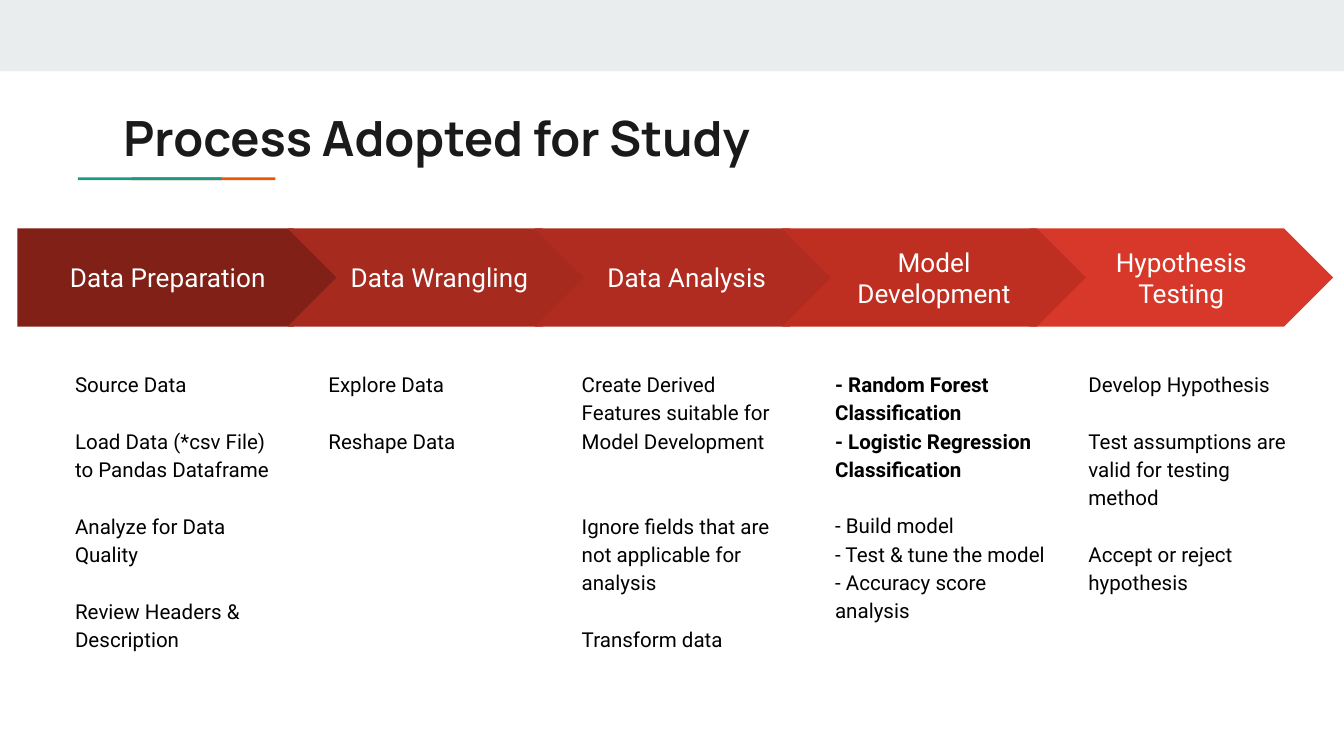
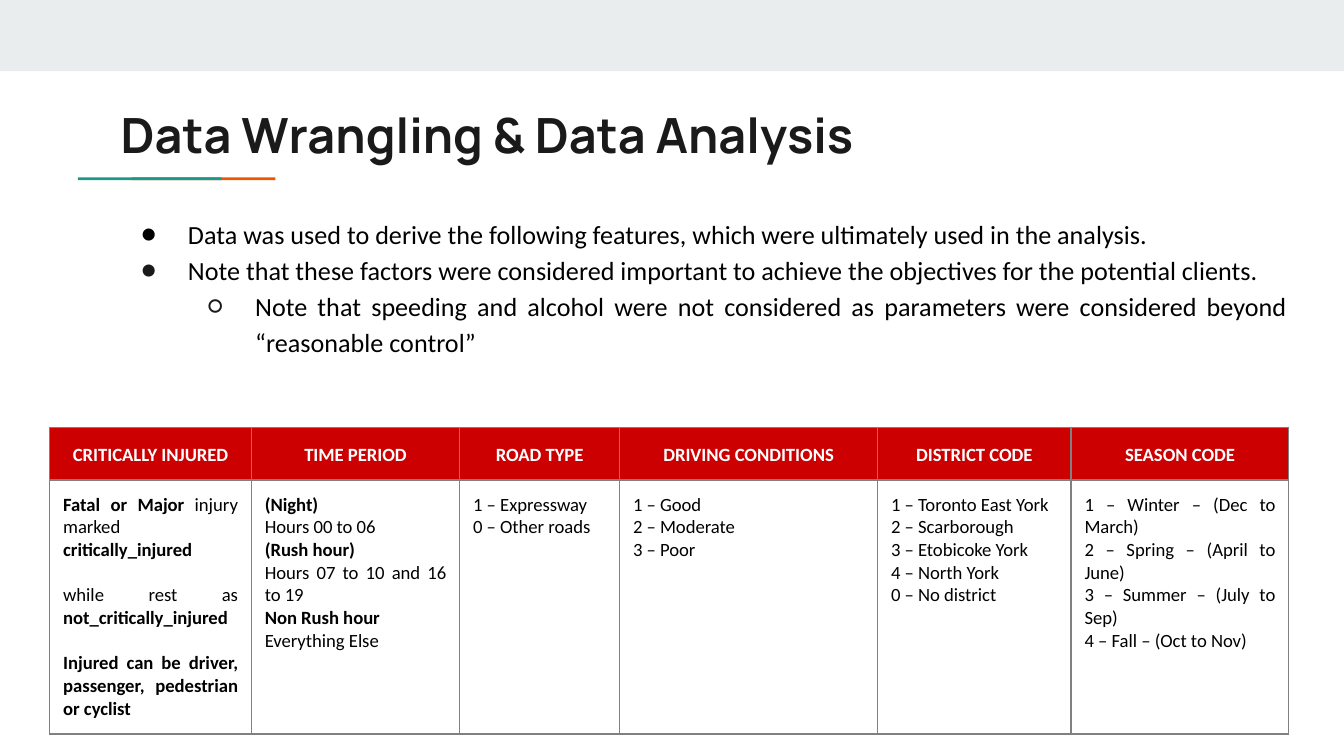
"""Build two slides: the study process and the derived features."""
from lxml import etree
from pptx import Presentation
from pptx.dml.color import RGBColor
from pptx.enum.shapes import MSO_SHAPE
from pptx.enum.text import MSO_ANCHOR, PP_ALIGN
from pptx.oxml.ns import qn
from pptx.util import Inches, Pt

RECT, PLATE, CHEVRON = MSO_SHAPE.RECTANGLE, MSO_SHAPE.PENTAGON, MSO_SHAPE.CHEVRON
LEFT, CENTER, JUSTIFY = PP_ALIGN.LEFT, PP_ALIGN.CENTER, PP_ALIGN.JUSTIFY
TOP, MIDDLE = MSO_ANCHOR.TOP, MSO_ANCHOR.MIDDLE

BLACK = RGBColor(0x00, 0x00, 0x00)
WHITE = RGBColor(0xFF, 0xFF, 0xFF)
INK = RGBColor(0x1A, 0x1A, 0x1A)
MIST = RGBColor(0xE9, 0xED, 0xEE)
TEAL = RGBColor(0x1A, 0x99, 0x88)
ORANGE = RGBColor(0xEB, 0x56, 0x00)
RED = RGBColor(0xCC, 0x00, 0x00)
GRAY = RGBColor(0x80, 0x80, 0x80)

TITLE = {"font": {"name": "Manrope", "size": Pt(26), "bold": True},
         "color": INK, "para": {"alignment": LEFT}}
STEP = {"font": {"name": "Roboto", "size": Pt(14)},
        "color": WHITE, "para": {"alignment": CENTER}}
NOTE = {"font": {"name": "Roboto", "size": Pt(11)}, "color": BLACK,
        "para": {"alignment": LEFT, "line_spacing": 1.15}, "gap": 15.2}
POINT = {"font": {"name": "Calibri", "size": Pt(14)}, "color": BLACK,
         "para": {"alignment": JUSTIFY, "line_spacing": 1.15}, "gap": 6}
HEAD = {"font": {"name": "Calibri", "size": Pt(10), "bold": True}, "color": WHITE,
        "para": {"alignment": CENTER, "line_spacing": 1.15}}
BODY = {"font": {"name": "Calibri", "size": Pt(10)}, "color": BLACK,
        "para": {"alignment": JUSTIFY}, "gap": 12.2}

STEPS = [
    ("Data Preparation", RGBColor(0x80, 0x20, 0x17), [
        "Source Data",
        ("Load Data (*csv File) to Pandas Dataframe", 1),
        ("Analyze for Data Quality", 1),
        ("Review Headers & Description", 1)]),
    ("Data Wrangling", RGBColor(0xA7, 0x2A, 0x1E), [
        "Explore Data",
        ("Reshape Data", 1)]),
    ("Data Analysis", RGBColor(0xB0, 0x2C, 0x20), [
        "Create Derived Features suitable for Model Development",
        ("Ignore fields that are not applicable for analysis", 2),
        ("Transform data", 1)]),
    ("Model Development", RGBColor(0xBE, 0x2F, 0x22), [
        "|- Random Forest Classification|",
        "|- Logistic Regression Classification|",
        ("- Build model", 1),
        "- Test & tune the model",
        "- Accuracy score analysis"]),
    ("Hypothesis Testing", RGBColor(0xD8, 0x38, 0x29), [
        "Develop Hypothesis",
        ("Test assumptions are valid for testing method", 1),
        ("Accept or reject hypothesis", 1)]),
]
ORDER = (0, 1, 2, 4, 3)

POINTS = [
    ("Data was used to derive the following features, which were ultimately "
     "used in the analysis.", 1),
    "Note that these factors were considered important to achieve the "
    "objectives for the potential clients.",
    "Note that speeding and alcohol were not considered as parameters were "
    "considered beyond “reasonable control”",
]
BULLETS = [(0, "●", BLACK), (0, "●", INK), (1, "○", INK)]

CODES = [
    ("CRITICALLY INJURED", 1.5, [
        "|Fatal or Major |injury marked |critically_injured |",
        ("while rest as |not_critically_injured |", 1),
        ("|Injured can be driver, passenger, pedestrian or cyclist|", 1)]),
    ("TIME PERIOD", 1.55, [
        "|(Night)|", "Hours 00 to 06 ",
        "|(Rush hour)|", "Hours 07 to 10 and 16 to 19 ",
        "|Non Rush hour|", "Everything Else"]),
    ("ROAD TYPE", 1.19, ["1 – Expressway", "0 – Other roads"]),
    ("DRIVING CONDITIONS", 1.92, ["1 – Good", "2 – Moderate", "3 – Poor"]),
    ("DISTRICT CODE", 1.44, [
        "1 – Toronto East York", "2 – Scarborough", "3 – Etobicoke York",
        "4 – North York", "0 – No district"]),
    ("SEASON CODE", 1.62, [
        "1 – Winter – (Dec to March)", "2 – Spring – (April to June)",
        "3 – Summer – (July to Sep)", "4 – Fall – (Oct to Nov)"]),
]
ROWS = (0.39, 1.89)


def apply(item, values):
    for name, value in values.items():
        setattr(item, name, value)


def inset(item):
    for side in ("left", "top", "right", "bottom"):
        setattr(item, "margin_" + side, Inches(0.1))


def write(frame, lines, style):
    frame.word_wrap = True
    for i, line in enumerate(lines):
        text, gap = (line, 0) if isinstance(line, str) else line
        para = frame.paragraphs[0] if i == 0 else frame.add_paragraph()
        apply(para, style["para"])
        para.space_before = Pt(gap * style.get("gap", 0))
        for j, part in enumerate(text.split("|")):
            if part:
                run = para.add_run()
                run.text = part
                apply(run.font, {"bold": j % 2 == 1, **style["font"]})
                run.font.color.rgb = style["color"]


def add_text(slide, box, lines, style):
    frame = slide.shapes.add_textbox(*map(Inches, box)).text_frame
    frame.vertical_anchor = TOP
    inset(frame)
    write(frame, lines, style)
    return frame


def add_block(slide, kind, box, fill):
    shape = slide.shapes.add_shape(kind, *map(Inches, box))
    shape.shadow.inherit = False
    shape.fill.solid()
    shape.fill.fore_color.rgb = fill
    shape.line.fill.background()
    return shape


def add_slide(deck, title, left, top):
    slide = deck.slides.add_slide(deck.slide_layouts[6])
    add_block(slide, RECT, (0, 0, 10, 0.53), MIST)
    for x, fill in ((0.98, ORANGE), (0.58, TEAL)):
        add_block(slide, RECT, (x, 1.32, 1.07, 0.02), fill)
    add_text(slide, (left, top, 8.41, 0.59), [title], TITLE)
    return slide


def add_steps(slide):
    first, last = 0.46, 8
    pitch = (last - first) / (len(STEPS) - 1)
    for i in ORDER:
        name, fill, notes = STEPS[i]
        if i == 0:
            kind, left, width = PLATE, 0.13, 2.42
        else:
            kind, left, width = CHEVRON, 0.3 + 1.84 * i, 2.26
        shape = add_block(slide, kind, (left, 1.7, width, 0.73), fill)
        frame = shape.text_frame
        frame.vertical_anchor = MIDDLE
        inset(frame)
        write(frame, [name], STEP)
        add_text(slide, (first + pitch * i, 2.64, 1.78, 2.57), notes, NOTE)


def add_bullets(frame):
    for para, (level, sign, color) in zip(frame.paragraphs, BULLETS):
        para.level = level
        props = para._p.get_or_add_pPr()
        props.set("marL", str(Inches(0.5 * (level + 1))))
        props.set("indent", str(Inches(-0.35)))
        tint = etree.SubElement(props, qn("a:buClr"))
        etree.SubElement(tint, qn("a:srgbClr"), val=str(color))
        etree.SubElement(props, qn("a:buFont"), typeface="Calibri")
        etree.SubElement(props, qn("a:buChar"), char=sign)


def add_border(cell):
    props = cell._tc.get_or_add_tcPr()
    for side in "LRTB":
        line = etree.SubElement(props, qn("a:ln" + side), w=str(Pt(0.75)))
        fill = etree.SubElement(line, qn("a:solidFill"))
        etree.SubElement(fill, qn("a:srgbClr"), val=str(GRAY))


def add_codes(slide):
    width = sum(code[1] for code in CODES)
    box = (0.37, 3.18, width, sum(ROWS))
    table = slide.shapes.add_table(len(ROWS), len(CODES), *map(Inches, box)).table
    apply(table, {"first_row": False, "horz_banding": False})
    for row, height in zip(table.rows, ROWS):
        row.height = Inches(height)
    for col, (name, size, lines) in enumerate(CODES):
        table.columns[col].width = Inches(size)
        for row, (texts, style) in enumerate((([name], HEAD), (lines, BODY))):
            cell = table.cell(row, col)
            inset(cell)
            add_border(cell)
            if row == 0:
                cell.fill.solid()
                cell.fill.fore_color.rgb = RED
            else:
                cell.fill.background()
            write(cell.text_frame, texts, style)


def main():
    deck = Presentation()
    wide = Inches(10)
    apply(deck, {"slide_width": wide, "slide_height": wide * 9 // 16})
    add_steps(add_slide(deck, "Process Adopted for Study", 0.82, 0.7))
    slide = add_slide(deck, "Data Wrangling & Data Analysis", 0.8, 0.68)
    add_bullets(add_text(slide, (0.8, 1.49, 8.88, 1.48), POINTS, POINT))
    add_codes(slide)
    deck.save("out.pptx")


if __name__ == "__main__":
    main()
